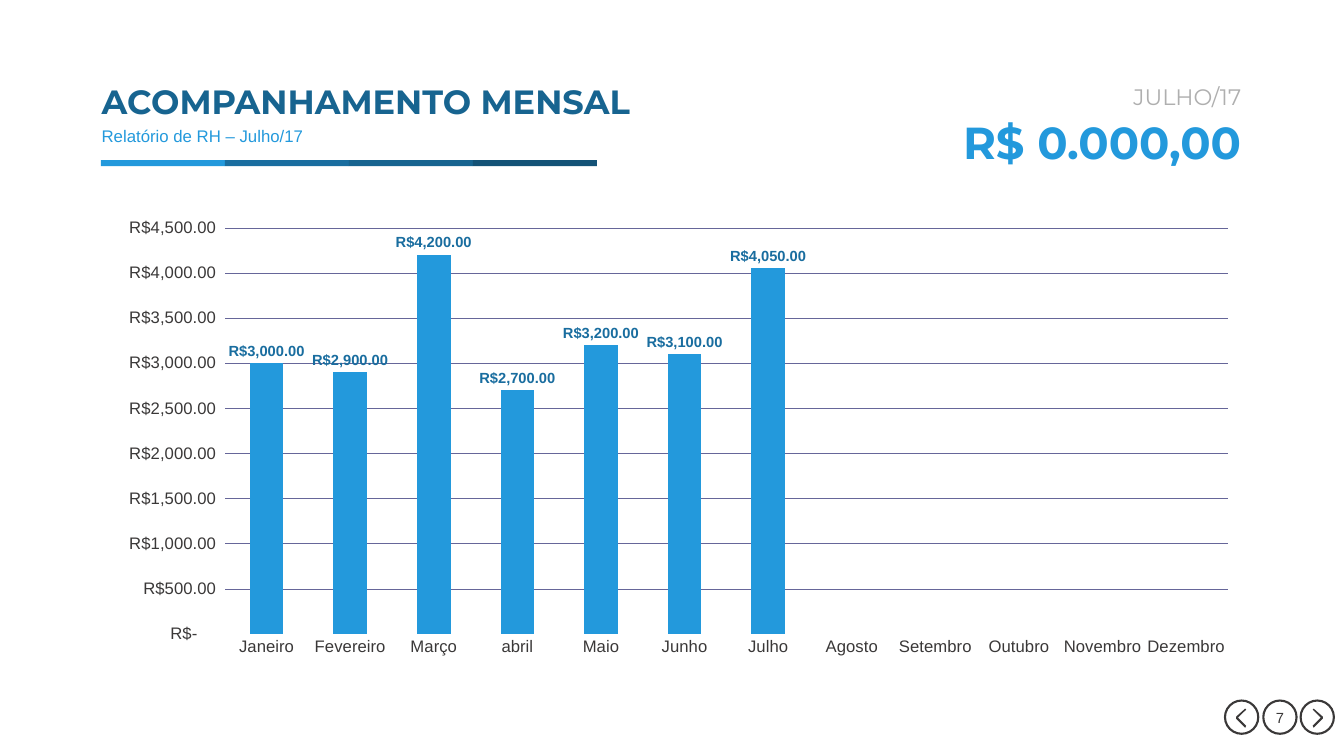
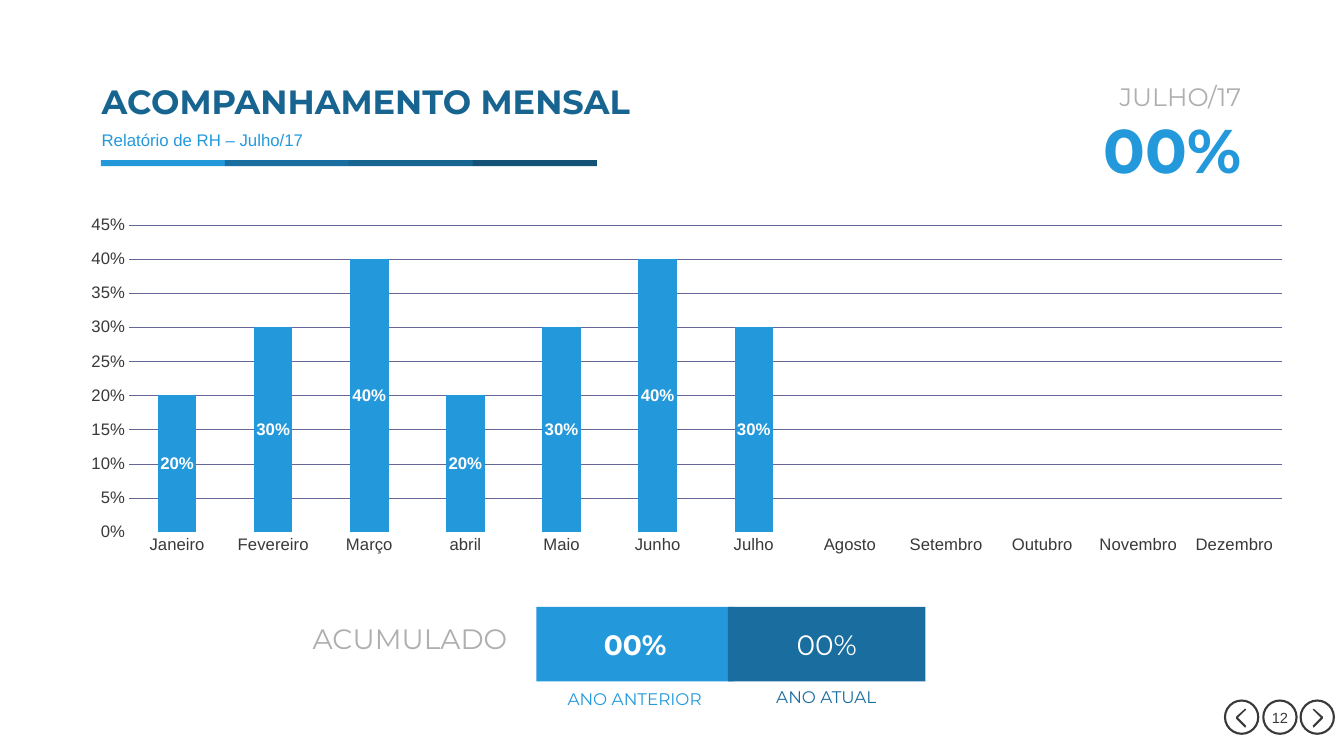
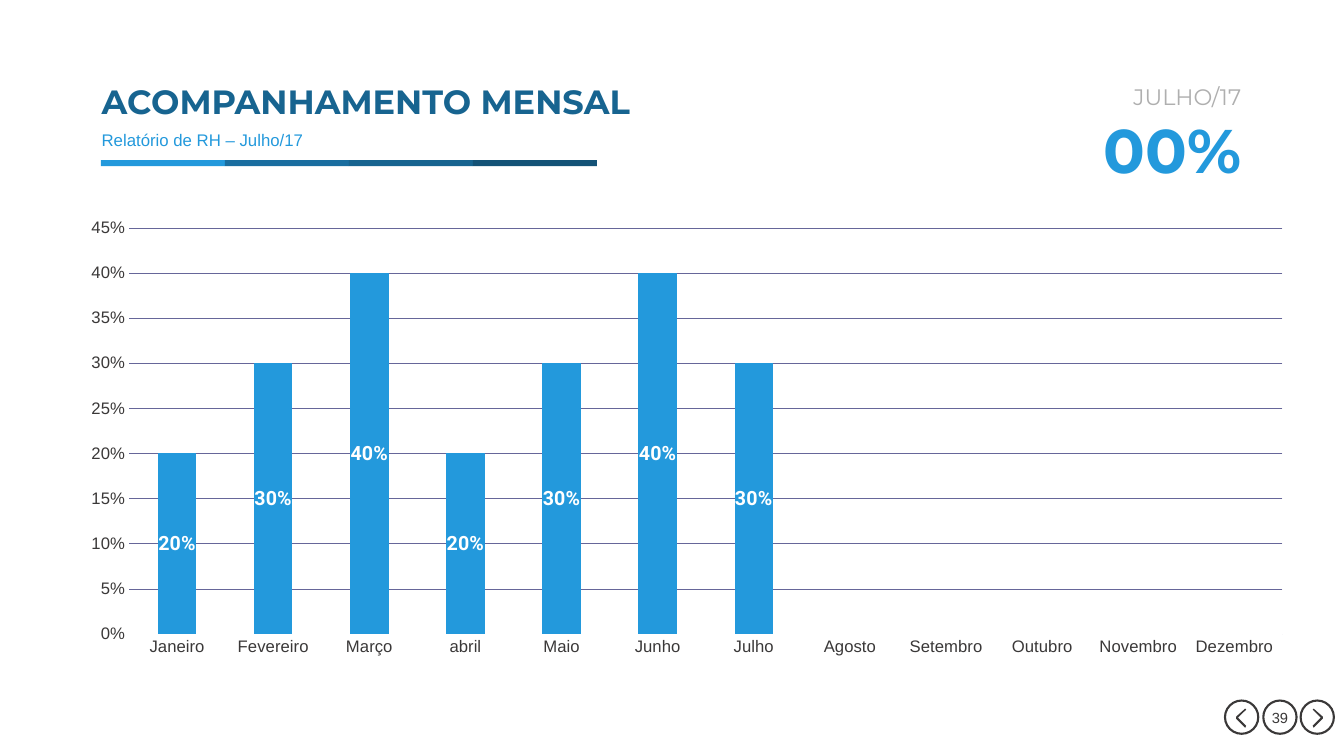
from pptx import Presentation
from pptx.chart.data import CategoryChartData
from pptx.dml.color import RGBColor
from pptx.enum.chart import XL_CHART_TYPE, XL_LABEL_POSITION, XL_TICK_MARK
from pptx.enum.shapes import MSO_SHAPE
from pptx.enum.text import MSO_ANCHOR, PP_ALIGN
from pptx.oxml import parse_xml
from pptx.oxml.ns import nsdecls
from pptx.util import Inches, Pt

SKY, BLUE, NAVY, DEEP = "2399DC", "196D9F", "176490", "135276"
INK, GREY, WHITE, GRID = "3A3838", "AFAFAF", "FFFFFF", "666699"
HEADING, BODY = "Montserrat", "Arial"
MONTHS = ["Janeiro", "Fevereiro", "Março", "abril", "Maio", "Junho", "Julho",
          "Agosto", "Setembro", "Outubro", "Novembro", "Dezembro"]
REAIS = r'_-"R$"* #,##0.00_-;\-"R$"* #,##0.00_-;_-"R$"* "-"??_-;_-@_-'
PERCENT = "0%"
COSTS = [3000, 2900, 4200, 2700, 3200, 3100, 4050]
RATES = [0.2, 0.3, 0.4, 0.2, 0.3, 0.4, 0.3]


def rgb(color):
    return RGBColor.from_string(color)


def set_all(target, values):
    for attribute, value in values.items():
        setattr(target, attribute, value)


def set_font(font, size, color, name=BODY, bold=False):
    set_all(font, {"size": Pt(size), "name": name, "bold": bold})
    font.color.rgb = rgb(color)


def write(frame, words, font, align=PP_ALIGN.LEFT, anchor=MSO_ANCHOR.MIDDLE, wrap=True, spacing=1.0):
    """Fill a text frame with one paragraph; font holds set_font arguments."""
    set_all(frame, {"word_wrap": wrap, "vertical_anchor": anchor})
    paragraph = frame.paragraphs[0]
    set_all(paragraph, {"text": words, "alignment": align, "line_spacing": spacing})
    set_font(paragraph.runs[0].font, *font)


def add_text(slide, box, words, font, **layout):
    frame = slide.shapes.add_textbox(*map(Inches, box)).text_frame
    write(frame, words, font, **layout)


def paint(shape, fill=None, line=None):
    shape.shadow.inherit = False
    if fill:
        shape.fill.solid()
        shape.fill.fore_color.rgb = rgb(fill)
    else:
        shape.fill.background()
    if line:
        shape.line.color.rgb = rgb(line)
        shape.line.width = Pt(1.5)
    else:
        shape.line.fill.background()


def add_box(slide, kind, box, **colors):
    shape = slide.shapes.add_shape(kind, *map(Inches, box))
    paint(shape, **colors)
    return shape


def add_chevron(slide, left, top, to_right):
    outline = [(0.01, 0), (0.1, 0.08), (0.1, 0.1), (0.01, 0.19), (0, 0.17), (0.08, 0.09), (0, 0.01)]
    points = [(Inches(left + (x if to_right else 0.1 - x)), Inches(top + y)) for x, y in outline]
    builder = slide.shapes.build_freeform(*points[0])
    builder.add_line_segments(points[1:])
    paint(builder.convert_to_shape(), fill=INK)


def add_navigation(slide, page):
    for left in (12.15, 12.53, 12.9):
        add_box(slide, MSO_SHAPE.OVAL, (left, 6.95, 0.33, 0.33), line=INK)
    add_chevron(slide, 12.26, 7.03, to_right=False)
    add_chevron(slide, 13.02, 7.03, to_right=True)
    add_text(slide, (12.3, 6.86, 0.79, 0.51), str(page), (10.5, INK), align=PP_ALIGN.CENTER)


def add_header(slide, subtitle_top):
    for index, color in enumerate((SKY, BLUE, NAVY, DEEP)):
        add_box(slide, MSO_SHAPE.RECTANGLE, (1 + index * 1.23, 1.59, 1.23, 0.06), fill=color)
    add_text(slide, (0.91, 0.75, 6.66, 0.56), "ACOMPANHAMENTO MENSAL",
             (24, NAVY, HEADING, True), spacing=0.9)
    add_text(slide, (0.91, subtitle_top, 5.48, 0.28), "Relatório de RH – Julho/17",
             (12, SKY), anchor=MSO_ANCHOR.TOP, spacing=0.9)


def add_highlight(slide, amount, amount_top, amount_size, month_size):
    layout = {"align": PP_ALIGN.RIGHT, "spacing": 0.9}
    add_text(slide, (9.18, amount_top, 3.23, 0.75), amount, (amount_size, SKY, HEADING, True), **layout)
    add_text(slide, (9.58, 0.7, 2.83, 0.56), "JULHO/17", (month_size, GREY, HEADING), **layout)


def place_plot(chart, box, plot):
    """Fix the inner plot area; both rectangles are in slide inches."""
    left, top, width, height = box
    fractions = {"x": (plot[0] - left) / width, "y": (plot[1] - top) / height,
                 "w": plot[2] / width, "h": plot[3] / height}
    sizes = "".join(f'<c:{key} val="{value:.4f}"/>' for key, value in fractions.items())
    layout = parse_xml(
        f'<c:layout {nsdecls("c")}><c:manualLayout><c:layoutTarget val="inner"/>'
        f'<c:xMode val="edge"/><c:yMode val="edge"/>{sizes}</c:manualLayout></c:layout>')
    area = chart._chartSpace.chart.plotArea
    for old in area.findall(layout.tag):
        area.remove(old)
    area.insert(0, layout)


def add_month_chart(slide, box, plot_box, values, number_format, top_value, step, label_font, label_position):
    data = CategoryChartData(number_format=number_format)
    data.categories = MONTHS
    data.add_series("Series 1", values + [None] * (len(MONTHS) - len(values)))
    chart = slide.shapes.add_chart(XL_CHART_TYPE.COLUMN_CLUSTERED, *map(Inches, box), data).chart
    set_all(chart, {"has_legend": False, "has_title": False})
    set_font(chart.font, 10, INK)
    place_plot(chart, box, plot_box)

    months, scale = chart.category_axis, chart.value_axis
    for axis in (months, scale):
        set_all(axis, {"major_tick_mark": XL_TICK_MARK.NONE, "minor_tick_mark": XL_TICK_MARK.NONE})
        set_font(axis.tick_labels.font, 11.9, INK)
    months.format.line.color.rgb = rgb(WHITE)
    months.format.line.width = Pt(1)
    scale.format.line.fill.background()
    set_all(scale, {"minimum_scale": 0, "maximum_scale": top_value, "major_unit": step,
                    "has_major_gridlines": True})
    scale.major_gridlines.format.line.color.rgb = rgb(GRID)
    scale.major_gridlines.format.line.width = Pt(0.25)

    columns = chart.plots[0]
    set_all(columns, {"gap_width": 150, "vary_by_categories": False})
    series = columns.series[0]
    series.format.fill.solid()
    series.format.fill.fore_color.rgb = rgb(SKY)
    labels = series.data_labels
    set_all(labels, {"show_value": True, "position": label_position})
    set_font(labels.font, *label_font)
    for numbers in (scale.tick_labels, labels):
        set_all(numbers, {"number_format": number_format, "number_format_is_linked": False})


def add_year_totals(slide):
    add_text(slide, (2.91, 6.12, 2.22, 0.44), "ACUMULADO", (20, GREY, HEADING),
             align=PP_ALIGN.RIGHT, anchor=MSO_ANCHOR.TOP, wrap=False)
    years = [(5.32, SKY, True, "ANO ANTERIOR", (5.47, 6.78, 1.65, 0.3)),
             (7.22, BLUE, False, "ANO ATUAL", (7.55, 6.76, 1.29, 0.3))]
    for left, color, bold, caption, caption_box in years:
        total = add_box(slide, MSO_SHAPE.RECTANGLE, (left, 6.02, 1.96, 0.74), fill=color)
        write(total.text_frame, "00%", (20, WHITE, HEADING, bold), align=PP_ALIGN.CENTER)
        add_text(slide, caption_box, caption, (12, color, HEADING),
                 align=PP_ALIGN.CENTER, anchor=MSO_ANCHOR.TOP, wrap=False)


def add_report_slide(deck, page, subtitle_top, highlight, chart):
    slide = deck.slides.add_slide(deck.slide_layouts[6])
    add_navigation(slide, page)
    add_header(slide, subtitle_top)
    add_highlight(slide, *highlight)
    add_month_chart(slide, *chart)
    return slide


def main():
    deck = Presentation()
    set_all(deck, {"slide_width": Inches(13.33), "slide_height": Inches(7.5)})
    outside, centre = XL_LABEL_POSITION.OUTSIDE_END, XL_LABEL_POSITION.CENTER

    add_report_slide(
        deck, 7, 1.22, ("R$ 0.000,00", 1.06, 32, 16),
        ((1.01, 2.08, 11.4, 4.52), (2.23, 2.26, 9.95, 4.03), COSTS, REAIS, 4500, 500,
         (10.5, BLUE, BODY, True), outside))
    totals = add_report_slide(
        deck, 12, 1.26, ("00%", 1.15, 44, 18),
        ((0.66, 2.08, 12.3, 3.49), (1.28, 2.23, 11.44, 3.05), RATES, PERCENT, 0.45, 0.05,
         (12, WHITE, BODY, True), centre))
    add_year_totals(totals)
    add_report_slide(
        deck, 39, 1.26, ("00%", 1.15, 44, 16),
        ((0.66, 2.08, 12.3, 4.52), (1.28, 2.26, 11.44, 4.03), RATES, PERCENT, 0.45, 0.05,
         (14, WHITE, "Roboto", True), centre))
    deck.save("out.pptx")


if __name__ == "__main__":
    main()
